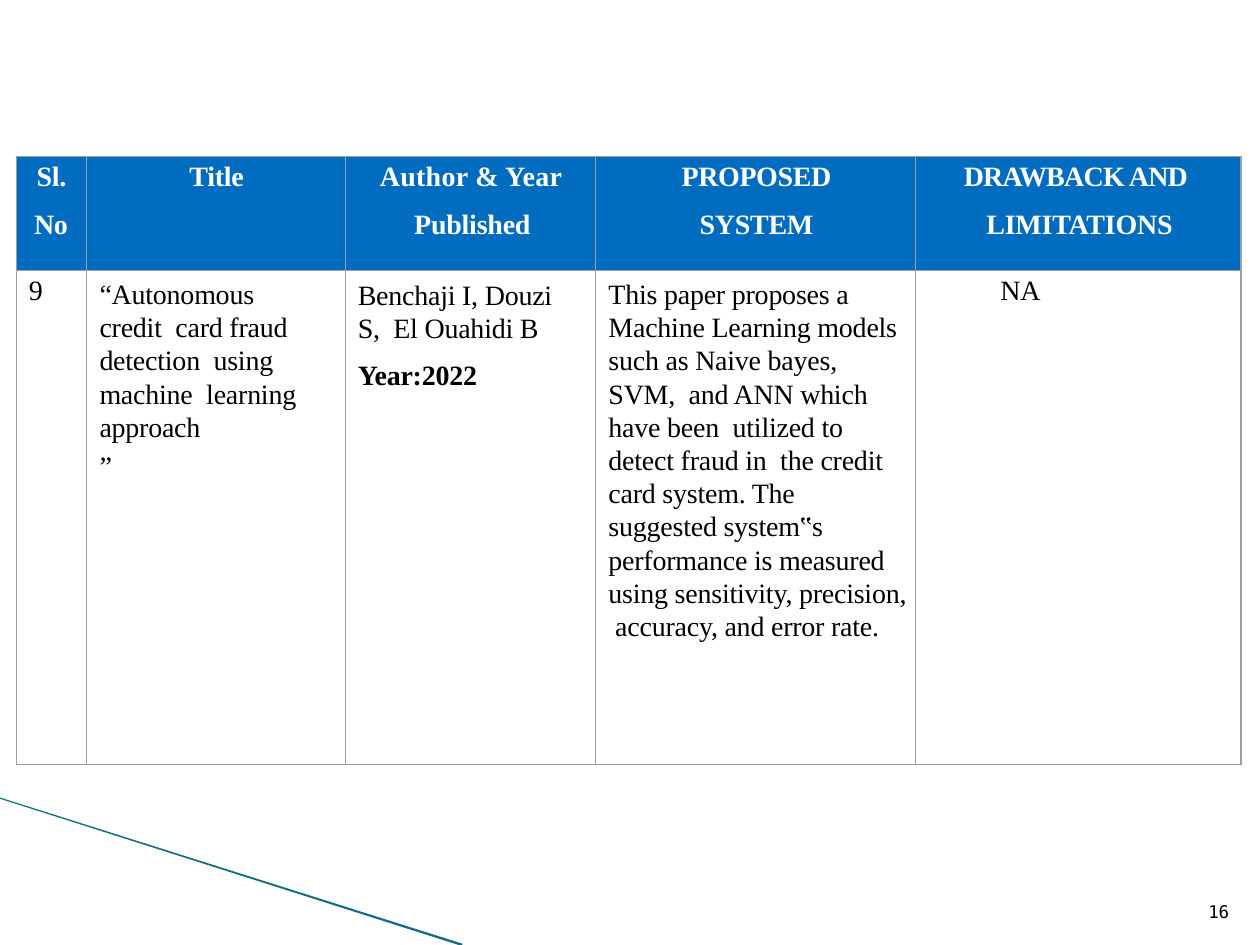
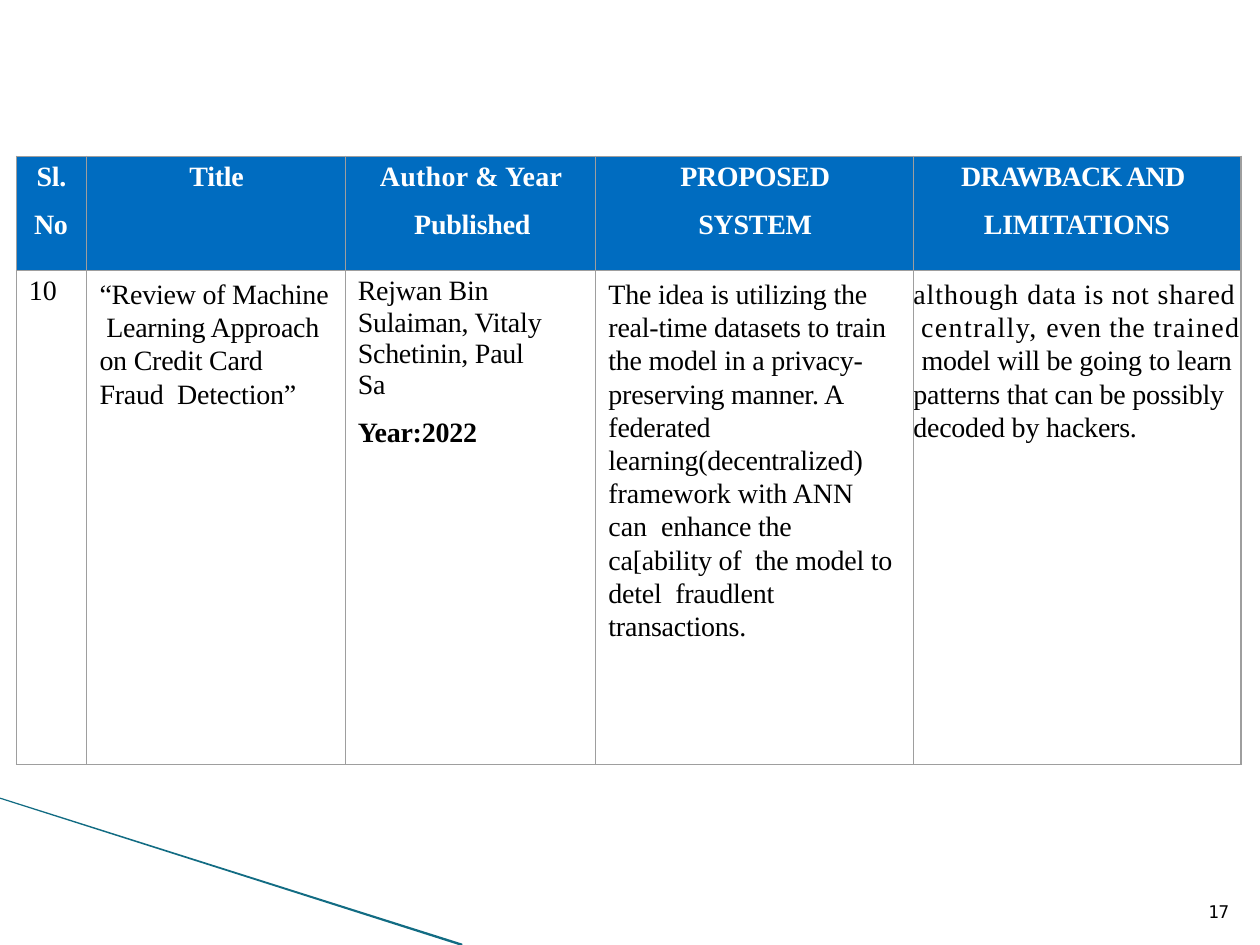
"""Build two literature survey slides, each with one paper in a ruled table."""
from dataclasses import dataclass

from lxml import etree
from pptx import Presentation
from pptx import util as u
from pptx.dml.color import RGBColor
from pptx.enum import text
from pptx.oxml import ns

BLUE = RGBColor(0x00, 0x6C, 0xC0)
TEAL = RGBColor(0x12, 0x6C, 0x83)
GREY = RGBColor(0x9E, 0x9E, 0x9E)
WHITE = RGBColor(0xFF, 0xFF, 0xFF)
BLACK = RGBColor(0x00, 0x00, 0x00)
SERIF = "Times New Roman"
MONO = "DejaVu Sans Mono"
LEFT, CENTER = text.PP_ALIGN.LEFT, text.PP_ALIGN.CENTER
ROW_HEIGHTS = (0.91, 3.92)
STRIPE = ((3.67, 7.5), (3.64, 7.5), (0, 6.34), (0, 6.33), (3.67, 7.49))


@dataclass(frozen=True)
class Span:
    """A piece of text with its letter spacing in points."""

    words: str
    spacing: float = -0.1


@dataclass(frozen=True)
class Para:
    """A paragraph with its indents in inches and its spacing in points."""

    spans: tuple[Span, ...]
    before: float
    indent: float = 0.1
    leading: float | None = None
    align: text.PP_ALIGN = LEFT
    bold: bool = False
    right: float = 0


@dataclass(frozen=True)
class Entry:
    """The paragraphs of a cell and its top margin in inches."""

    paras: tuple[Para, ...]
    top: float = 0.04


@dataclass(frozen=True)
class Survey:
    """A slide with its page number, column widths and body row."""

    page: int
    widths: tuple[float, ...]
    entries: tuple[Entry, ...]


def heading(*lines: tuple[str, float, float], align: text.PP_ALIGN = CENTER) -> Entry:
    """Make a header cell from lines of words, indent and letter spacing."""
    return Entry(tuple(
        Para((Span(words, spacing),), 9.8 if row else 2.8, indent, None, align, True)
        for row, (words, indent, spacing) in enumerate(lines)
    ))


def plain(words: str, indent: float = 0.1) -> Entry:
    """Make a body cell with a single short line."""
    return Entry((Para((Span(words, 0),), 2.6, indent),))


def prose(*spans: Span, before: float = 3.6, indent: float = 0.1,
          right: float = 0) -> Para:
    """Make a running paragraph with fixed line height."""
    return Para(spans, before, indent, 19, right=right)


def year(before: float) -> Para:
    """Make the bold line with the year of publication."""
    return Para((Span("Year:2022"),), before, bold=True)


HEADINGS = (
    heading(("Sl.", 0.16, -0.1), ("No", 0.14, -0.1), align=LEFT),
    heading(("Title", 0.01, -0.1)),
    heading(("Author & Year", 0.01, 0.2), ("Published", 0.03, -0.1)),
    heading(("PROPOSED", 0.01, -0.2), ("SYSTEM", 0.01, -0.1)),
    heading(("DRAWBACK AND", 0.38, -0.4), ("LIMITATIONS", 0.56, -0.1), align=LEFT),
)

SURVEYS = (
    Survey(16, (0.56, 2.05, 1.99, 2.54, 2.58), (
        plain("9"),
        Entry((
            prose(Span("“Autonomous credit  card fraud detection  using "
                       "machine  learning approach"), right=0.3),
            Para((Span("”", 0),), 4.4),
        ), 0.05),
        Entry((prose(Span("Benchaji I, Douzi S,  El Ouahidi B"), before=4.2, right=0.23),
               year(8.8)), 0.06),
        Entry((prose(Span(
            "This paper proposes a  Machine Learning models  such as Naive bayes, "
            "SVM,  and ANN which have been  utilized to detect fraud in  the credit "
            "card system. The  suggested system‟s  performance is measured  using "
            "sensitivity, precision,  accuracy, and error rate."), right=0.06),), 0.05),
        plain("NA", 0.67),
    )),
    Survey(17, (0.56, 2.05, 1.99, 2.52, 2.6), (
        plain("10"),
        Entry((prose(Span("“Review of Machine  Learning Approach  on Credit Card "
                          "Fraud  Detection”"), right=0.11),), 0.05),
        Entry((Para((Span("Rejwan Bin  Sulaiman, Vitaly  Schetinin, Paul Sa"),), 3,
                    right=0.37),
               year(10.1))),
        Entry((prose(
            Span("The idea is utilizing the  real-time datasets to train  the model in "
                 "a privacy-  preserving manner. A  federated  "
                 "learning(decentralized)  "),
            Span("framework with ANN can  ", 0),
            Span("enhance the ca[ability of  the model to detel  fraudlent "
                 "transactions."),
            right=0.14),), 0.05),
        Entry((prose(
            Span("although ", 0.6), Span("data is not ", 0.4), Span("shared  ", 0.5),
            Span("centrally, ", 0.8), Span("even the ", 0.4), Span("trained  ", 0.8),
            Span("model will be going to learn  patterns that can be possibly  "
                 "decoded by hackers."),
            indent=0),), 0.05),
    )),
)


def write(frame, paras: tuple[Para, ...], font: str, size: float, color: RGBColor) -> None:
    """Write paragraphs into a text frame."""
    for index, para in enumerate(paras):
        line = frame.add_paragraph() if index else frame.paragraphs[0]
        line.alignment = para.align
        line.space_before = u.Pt(para.before)
        if para.leading:
            line.line_spacing = u.Pt(para.leading)
        properties = line._p.get_or_add_pPr()
        properties.set("marL", str(u.Inches(para.indent)))
        properties.set("marR", str(u.Inches(para.right)))
        for span in para.spans:
            run = line.add_run()
            run.text = span.words
            run.font.name = font
            run.font.size = u.Pt(size)
            run.font.bold = para.bold
            run.font.color.rgb = color
            run._r.get_or_add_rPr().set("spc", str(round(span.spacing * 100)))


def rule_cell(cell) -> None:
    """Draw thin grey lines on all four sides of a cell."""
    properties = cell._tc.get_or_add_tcPr()
    for index, side in enumerate(("a:lnL", "a:lnR", "a:lnT", "a:lnB")):
        line = etree.Element(ns.qn(side), w=str(u.Pt(0.75)))
        fill = etree.SubElement(line, ns.qn("a:solidFill"))
        etree.SubElement(fill, ns.qn("a:srgbClr"), val=str(GREY))
        properties.insert(index, line)


def add_stripe(page) -> None:
    """Draw the slanted teal stripe in the lower left corner."""
    points = [(u.Inches(x), u.Inches(y)) for x, y in STRIPE]
    builder = page.shapes.build_freeform(*points[0])
    builder.add_line_segments(points[1:], close=True)
    stripe = builder.convert_to_shape()
    stripe.shadow.inherit = False
    stripe.fill.solid()
    stripe.fill.fore_color.rgb = TEAL
    stripe.line.fill.background()


def add_survey_table(page, survey: Survey) -> None:
    """Draw the table with its header row and body row."""
    rows = (HEADINGS, survey.entries)
    table = page.shapes.add_table(
        len(rows), len(survey.widths), u.Inches(0.13), u.Inches(1.24),
        u.Inches(sum(survey.widths)), u.Inches(sum(ROW_HEIGHTS))).table
    table.first_row = table.horz_banding = False
    for column, width in zip(table.columns, survey.widths):
        column.width = u.Inches(width)
    for row, height in zip(table.rows, ROW_HEIGHTS):
        row.height = u.Inches(height)
    for row, entries in enumerate(rows):
        for column, entry in enumerate(entries):
            cell = table.cell(row, column)
            cell.margin_left = cell.margin_right = cell.margin_bottom = 0
            cell.margin_top = u.Inches(entry.top)
            if row:
                cell.fill.background()
            else:
                cell.fill.solid()
                cell.fill.fore_color.rgb = BLUE
            rule_cell(cell)
            write(cell.text_frame, entry.paras, SERIF, 16, BLACK if row else WHITE)


def add_page_number(page, number: int) -> None:
    """Write the page number in the lower right corner."""
    box = page.shapes.add_textbox(
        u.Inches(9.55), u.Inches(7.12), u.Inches(0.26), u.Inches(0.24))
    frame = box.text_frame
    frame.word_wrap = True
    frame.auto_size = text.MSO_AUTO_SIZE.SHAPE_TO_FIT_TEXT
    frame.margin_left = frame.margin_right = frame.margin_bottom = 0
    frame.margin_top = u.Inches(0.03)
    write(frame, (Para((Span(str(number)),), 1.9, 0.04),), MONO, 10, BLACK)


def main() -> None:
    """Build the deck and save it."""
    deck = Presentation()
    deck.slide_width, deck.slide_height = u.Inches(10), u.Inches(7.5)
    for survey in SURVEYS:
        page = deck.slides.add_slide(deck.slide_layouts[6])
        add_stripe(page)
        add_survey_table(page, survey)
        add_page_number(page, survey.page)
    deck.save("out.pptx")


main()
